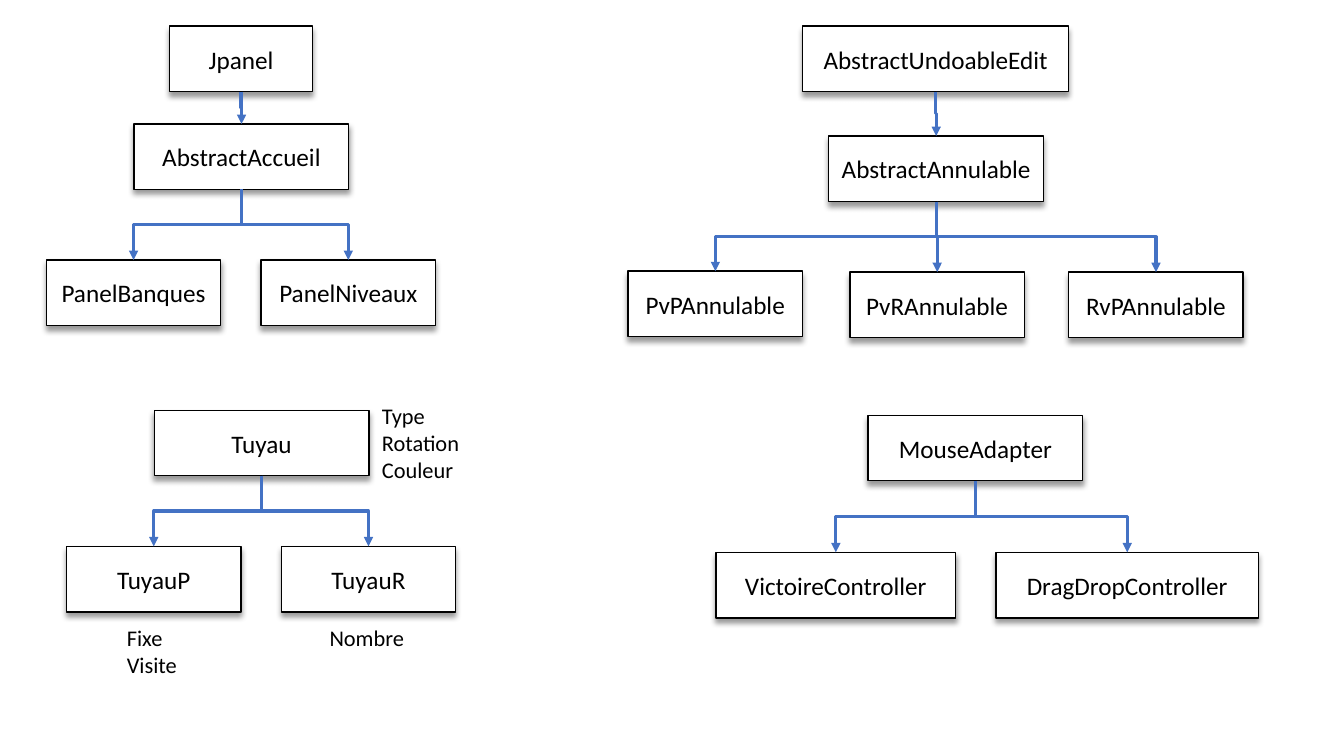
from dataclasses import dataclass

from pptx import Presentation
from pptx.dml.color import RGBColor
from pptx.enum.shapes import MSO_CONNECTOR, MSO_SHAPE
from pptx.enum.text import MSO_ANCHOR, MSO_AUTO_SIZE, PP_ALIGN
from pptx.oxml import parse_xml
from pptx.oxml.ns import nsdecls, qn
from pptx.shapes.autoshape import Shape
from pptx.shapes.shapetree import SlideShapes
from pptx.text.text import TextFrame
from pptx.util import Inches, Pt


@dataclass(frozen=True)
class Theme:
    font: str = "Calibri"
    ink: RGBColor = RGBColor(0, 0, 0)
    paper: RGBColor = RGBColor(255, 255, 255)
    arrow: RGBColor = RGBColor(0x44, 0x72, 0xC4)
    class_size: int = 18
    note_size: int = 16
    border: float = 1
    arrow_width: float = 2.25


@dataclass(frozen=True)
class ClassBox:
    name: str
    left: float
    top: float
    width: float
    parent: str = ""


@dataclass(frozen=True)
class Note:
    lines: tuple[str, ...]
    left: float
    top: float
    width: float
    height: float


THEME = Theme()
BOX_H = 0.65
BASE_W, LEAF_W = 2.13, 1.73

# A parent always comes before its children.
CLASSES = [
    ClassBox("Jpanel", 1.68, 0.26, 1.42),
    ClassBox("AbstractAccueil", 1.33, 1.23, BASE_W, "Jpanel"),
    ClassBox("PanelBanques", 0.46, 2.58, LEAF_W, "AbstractAccueil"),
    ClassBox("PanelNiveaux", 2.59, 2.58, LEAF_W, "AbstractAccueil"),
    ClassBox("Tuyau", 1.53, 4.07, BASE_W),
    ClassBox("TuyauP", 0.66, 5.42, LEAF_W, "Tuyau"),
    ClassBox("TuyauR", 2.79, 5.42, LEAF_W, "Tuyau"),
    ClassBox("AbstractUndoableEdit", 7.96, 0.26, 2.64),
    ClassBox("AbstractAnnulable", 8.22, 1.35, BASE_W, "AbstractUndoableEdit"),
    ClassBox("PvPAnnulable", 6.23, 2.69, LEAF_W, "AbstractAnnulable"),
    ClassBox("PvRAnnulable", 8.43, 2.7, LEAF_W, "AbstractAnnulable"),
    ClassBox("RvPAnnulable", 10.6, 2.7, LEAF_W, "AbstractAnnulable"),
    ClassBox("MouseAdapter", 8.61, 4.12, BASE_W),
    ClassBox("VictoireController", 7.1, 5.48, 2.38, "MouseAdapter"),
    ClassBox("DragDropController", 9.88, 5.48, 2.6, "MouseAdapter"),
]
NOTES = [
    Note(("Fixe", "Visite"), 1.16, 6.14, 0.74, 0.64),
    Note(("Nombre",), 3.17, 6.14, 0.98, 0.37),
    Note(("Type", "Rotation", "Couleur"), 3.69, 3.94, 1.24, 0.91),
]


def write_lines(tf: TextFrame, lines: tuple[str, ...], size: int, align: PP_ALIGN) -> None:
    for i, line in enumerate(lines):
        p = tf.add_paragraph() if i else tf.paragraphs[0]
        p.alignment = align
        r = p.add_run()
        r.text = line
        r.font.name = THEME.font
        r.font.size = Pt(size)
        r.font.color.rgb = THEME.ink


def add_drop_shadow(sp: Shape) -> None:
    sp.shadow.inherit = False
    sp._element.spPr.find(qn("a:effectLst")).append(parse_xml(
        f'<a:outerShdw {nsdecls("a")} blurRad="{Pt(4)}" dist="{Pt(3)}" dir="5400000" '
        'algn="t" rotWithShape="0"><a:srgbClr val="000000"><a:alpha val="40000"/>'
        '</a:srgbClr></a:outerShdw>'))


def add_class(shapes: SlideShapes, box: ClassBox) -> Shape:
    sp = shapes.add_shape(MSO_SHAPE.RECTANGLE, Inches(box.left), Inches(box.top),
                          Inches(box.width), Inches(BOX_H))
    sp.fill.solid()
    sp.fill.fore_color.rgb = THEME.paper
    sp.line.color.rgb = THEME.ink
    sp.line.width = Pt(THEME.border)
    add_drop_shadow(sp)
    sp.text_frame.vertical_anchor = MSO_ANCHOR.MIDDLE
    write_lines(sp.text_frame, (box.name,), THEME.class_size, PP_ALIGN.CENTER)
    return sp


def add_arrow(shapes: SlideShapes, parent: Shape, child: Shape) -> None:
    """Join parent bottom to child top with an elbow turned to leave downwards."""
    x1, y1 = parent.left + parent.width // 2, parent.top + parent.height
    x2, y2 = child.left + child.width // 2, child.top
    c = shapes.add_connector(MSO_CONNECTOR.ELBOW, x1, y1, x2, y2)
    c.begin_connect(parent, 2)
    c.end_connect(child, 0)

    # The elbow preset runs sideways, so its frame is swapped and rotated.
    c.width, c.height = y2 - y1, abs(x2 - x1)
    c.left, c.top = (x1 + x2 - c.width) // 2, (y1 + y2 - c.height) // 2
    to_right = x2 > x1
    xfrm = c._element.spPr.find(qn("a:xfrm"))
    xfrm.set("rot", str((270 if to_right else 90) * 60000))
    xfrm.set("flipH", "1" if to_right else "0")

    c.line.color.rgb = THEME.arrow
    c.line.width = Pt(THEME.arrow_width)
    c.line._get_or_add_ln().append(parse_xml(f'<a:tailEnd {nsdecls("a")} type="triangle"/>'))
    c._element.spPr.append(parse_xml(f'<a:effectLst {nsdecls("a")}/>'))


def add_note(shapes: SlideShapes, note: Note) -> None:
    tf = shapes.add_textbox(Inches(note.left), Inches(note.top),
                            Inches(note.width), Inches(note.height)).text_frame
    tf.word_wrap = True
    tf.auto_size = MSO_AUTO_SIZE.SHAPE_TO_FIT_TEXT
    write_lines(tf, note.lines, THEME.note_size, PP_ALIGN.LEFT)


def main() -> None:
    prs = Presentation()
    prs.slide_width, prs.slide_height = Inches(13.33), Inches(7.5)
    s = prs.slides.add_slide(prs.slide_layouts[6])
    drawn: dict[str, Shape] = {}
    for box in CLASSES:
        drawn[box.name] = add_class(s.shapes, box)
        if box.parent:
            add_arrow(s.shapes, drawn[box.parent], drawn[box.name])
    for note in NOTES:
        add_note(s.shapes, note)
    prs.save("out.pptx")


if __name__ == "__main__":
    main()
